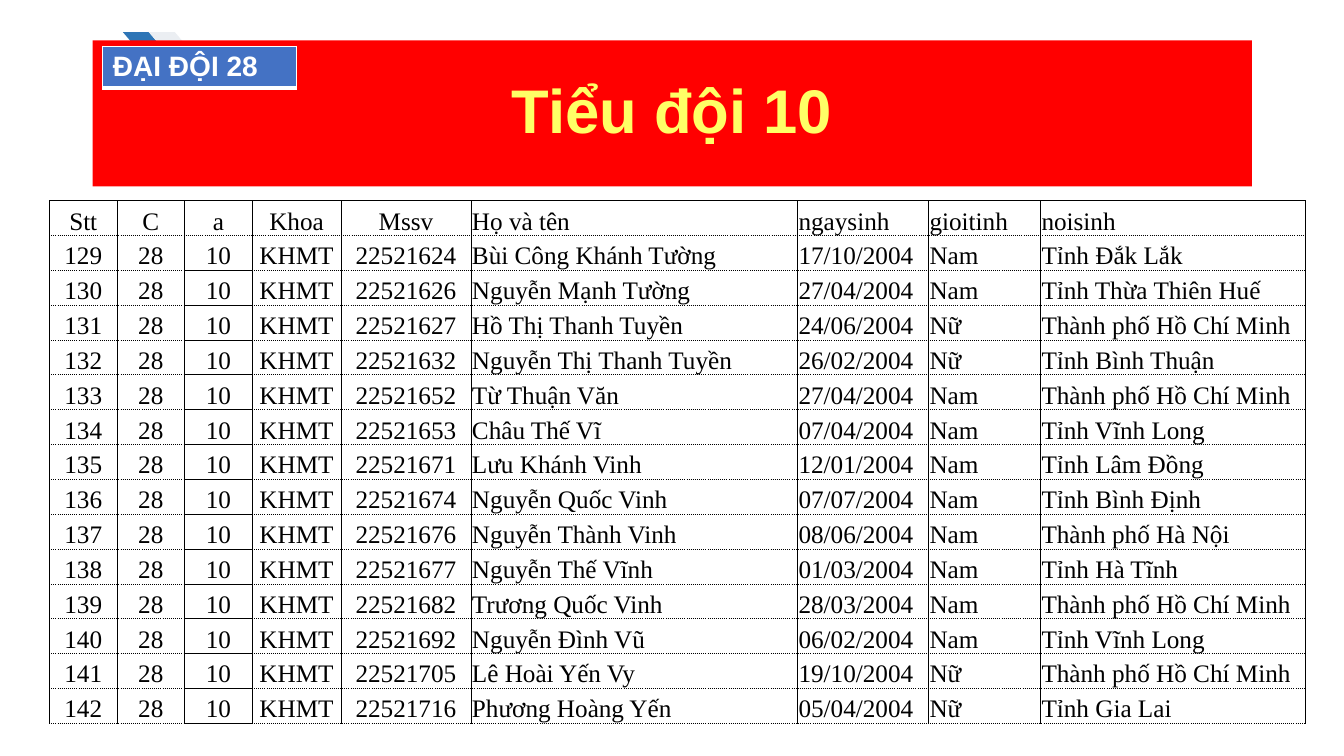
from typing import NamedTuple, Optional

from lxml.etree import SubElement
from pptx import Presentation
from pptx.dml.color import RGBColor
from pptx.enum.shapes import MSO_SHAPE as Preset
from pptx.enum.text import MSO_ANCHOR as Anchor, PP_ALIGN as Align
from pptx.oxml.ns import qn
from pptx.util import Emu, Inches, Pt

SLIDE_WIDTH, SLIDE_HEIGHT = Inches(13.333), Inches(7.5)


class Box(NamedTuple):
    """Place and size, in percent of the slide's width and height."""
    left: float
    top: float
    width: float
    height: float


class TextStyle(NamedTuple):
    font: str
    size: int
    color: str
    bold: bool = False


class Border(NamedTuple):
    color: str
    width: float
    dash: str = "solid"


class Column(NamedTuple):
    heading: str
    width: float
    align: Optional[Align] = None


class Student(NamedTuple):
    code: str
    name: str
    birthday: str
    gender: str
    birthplace: str


class Chevron(NamedTuple):
    box: Box
    color: str


TITLE_STYLE = TextStyle("Arial", 44, "FFFF66", True)
BADGE_STYLE = TextStyle("Arial", 20, "FFFFFF", True)
ROSTER_STYLE = TextStyle("Times New Roman", 18, "000000")
SOLID, DOTTED = Border("000000", 0.5), Border("000000", 0.5, "sysDot")
WHITE_THIN, WHITE_THICK = Border("FFFFFF", 1), Border("FFFFFF", 3)

TITLE_BOX = Box(6.9, 5.33, 86.25, 19.33)
BADGE_BOX = Box(7.65, 6.13, 14.4, 5.47)
ROSTER_BOX = Box(3.68, 26.53, 93.48, 69.2)
CHEVRONS = [
    Chevron(Box(9.15, 4.27, 3.83, 8), "2E75B6"),
    Chevron(Box(11.1, 4.27, 3.83, 8), "EBEEF2"),
]
COLUMNS = [
    Column("Stt", 5.03, Align.CENTER),
    Column("C", 5.03, Align.CENTER),
    Column("a", 5.03, Align.CENTER),
    Column("Khoa", 6.6, Align.CENTER),
    Column("Mssv", 9.68, Align.CENTER),
    Column("Họ và tên", 24.3),
    Column("ngaysinh", 9.75),
    Column("gioitinh", 8.33),
    Column("noisinh", 19.73),
]
SQUAD_COLUMN = 2
FIRST_NUMBER = 129
STUDENTS = [
    Student("22521624", "Bùi Công Khánh Tường", "17/10/2004", "Nam", "Tỉnh Đắk Lắk"),
    Student("22521626", "Nguyễn Mạnh Tường", "27/04/2004", "Nam", "Tỉnh Thừa Thiên Huế"),
    Student("22521627", "Hồ Thị Thanh Tuyền", "24/06/2004", "Nữ", "Thành phố Hồ Chí Minh"),
    Student("22521632", "Nguyễn Thị Thanh Tuyền", "26/02/2004", "Nữ", "Tỉnh Bình Thuận"),
    Student("22521652", "Từ Thuận Văn", "27/04/2004", "Nam", "Thành phố Hồ Chí Minh"),
    Student("22521653", "Châu Thế Vĩ", "07/04/2004", "Nam", "Tỉnh Vĩnh Long"),
    Student("22521671", "Lưu Khánh Vinh", "12/01/2004", "Nam", "Tỉnh Lâm Đồng"),
    Student("22521674", "Nguyễn Quốc Vinh", "07/07/2004", "Nam", "Tỉnh Bình Định"),
    Student("22521676", "Nguyễn Thành Vinh", "08/06/2004", "Nam", "Thành phố Hà Nội"),
    Student("22521677", "Nguyễn Thế Vĩnh", "01/03/2004", "Nam", "Tỉnh Hà Tĩnh"),
    Student("22521682", "Trương Quốc Vinh", "28/03/2004", "Nam", "Thành phố Hồ Chí Minh"),
    Student("22521692", "Nguyễn Đình Vũ", "06/02/2004", "Nam", "Tỉnh Vĩnh Long"),
    Student("22521705", "Lê Hoài Yến Vy", "19/10/2004", "Nữ", "Thành phố Hồ Chí Minh"),
    Student("22521716", "Phương Hoàng Yến", "05/04/2004", "Nữ", "Tỉnh Gia Lai"),
]


def across(percent: float) -> Emu:
    return Emu(round(SLIDE_WIDTH * percent / 100))


def down(percent: float) -> Emu:
    return Emu(round(SLIDE_HEIGHT * percent / 100))


def place(box: Box) -> tuple:
    return across(box.left), down(box.top), across(box.width), down(box.height)


def paint(fill, color: str) -> None:
    fill.solid()
    fill.fore_color.rgb = RGBColor.from_string(color)


def write(paragraph, text: str, style: TextStyle, align: Optional[Align] = None) -> None:
    paragraph.alignment = align
    run = paragraph.add_run()
    run.text = text
    run.font.name, run.font.size, run.font.bold = style.font, Pt(style.size), style.bold
    run.font.color.rgb = RGBColor.from_string(style.color)


def set_borders(cell, left: Border, right: Border, top: Border, bottom: Border) -> None:
    """Add the borders; call this before setting the cell's fill."""
    properties = cell._tc.get_or_add_tcPr()
    for side, border in zip("LRTB", (left, right, top, bottom)):
        line = SubElement(properties, qn(f"a:ln{side}"), w=str(Pt(border.width)))
        color = SubElement(SubElement(line, qn("a:solidFill")), qn("a:srgbClr"))
        color.set("val", border.color)
        SubElement(line, qn("a:prstDash"), val=border.dash)


def add_plain_table(slide, box: Box, rows: int, columns: int):
    table = slide.shapes.add_table(rows, columns, *place(box)).table
    table.first_row = table.horz_banding = False
    return table


def add_title(slide) -> None:
    title = slide.shapes.title
    title.left, title.top, title.width, title.height = place(TITLE_BOX)
    paint(title.fill, "FF0000")
    title.text_frame.vertical_anchor = Anchor.MIDDLE
    paragraph = title.text_frame.paragraphs[0]
    paragraph.line_spacing = 0.9
    write(paragraph, "Tiểu đội 10", TITLE_STYLE, Align.CENTER)


def add_chevron(slide, chevron: Chevron) -> None:
    shape = slide.shapes.add_shape(Preset.CHEVRON, *place(chevron.box))
    shape.shadow.inherit = False
    paint(shape.fill, chevron.color)
    shape.line.fill.background()
    # The chevrons lie behind the title
    slide.shapes.title.element.addprevious(shape.element)


def add_roster(slide) -> None:
    records = [[column.heading for column in COLUMNS]]
    for number, student in enumerate(STUDENTS, FIRST_NUMBER):
        records.append([str(number), "28", "10", "KHMT", *student])
    table = add_plain_table(slide, ROSTER_BOX, len(records), len(COLUMNS))
    for table_column, column in zip(table.columns, COLUMNS):
        table_column.width = across(column.width)
    for row, record in enumerate(records):
        table.rows[row].height = down(ROSTER_BOX.height / len(records))
        for index, (column, text) in enumerate(zip(COLUMNS, record)):
            cell = table.cell(row, index)
            cell.margin_left = cell.margin_right = cell.margin_top = Inches(0.01)
            cell.margin_bottom = 0
            cell.vertical_anchor = Anchor.BOTTOM
            write(cell.text_frame.paragraphs[0], text, ROSTER_STYLE, column.align)
            in_squad = index == SQUAD_COLUMN
            top = SOLID if row == 0 or (in_squad and row > 1) else DOTTED
            bottom = SOLID if in_squad and row > 0 else DOTTED
            set_borders(cell, SOLID, SOLID, top, bottom)
            cell.fill.background()


def add_badge(slide) -> None:
    cell = add_plain_table(slide, BADGE_BOX, 1, 1).cell(0, 0)
    write(cell.text_frame.paragraphs[0], "ĐẠI ĐỘI 28", BADGE_STYLE)
    set_borders(cell, WHITE_THIN, WHITE_THIN, WHITE_THIN, WHITE_THICK)
    paint(cell.fill, "4472C4")


def main() -> None:
    presentation = Presentation()
    presentation.slide_width, presentation.slide_height = SLIDE_WIDTH, SLIDE_HEIGHT
    slide = presentation.slides.add_slide(presentation.slide_layouts.get_by_name("Title Only"))
    # Heading
    add_title(slide)
    for chevron in CHEVRONS:
        add_chevron(slide, chevron)
    # Tables
    add_roster(slide)
    add_badge(slide)
    presentation.save("out.pptx")


if __name__ == "__main__":
    main()
